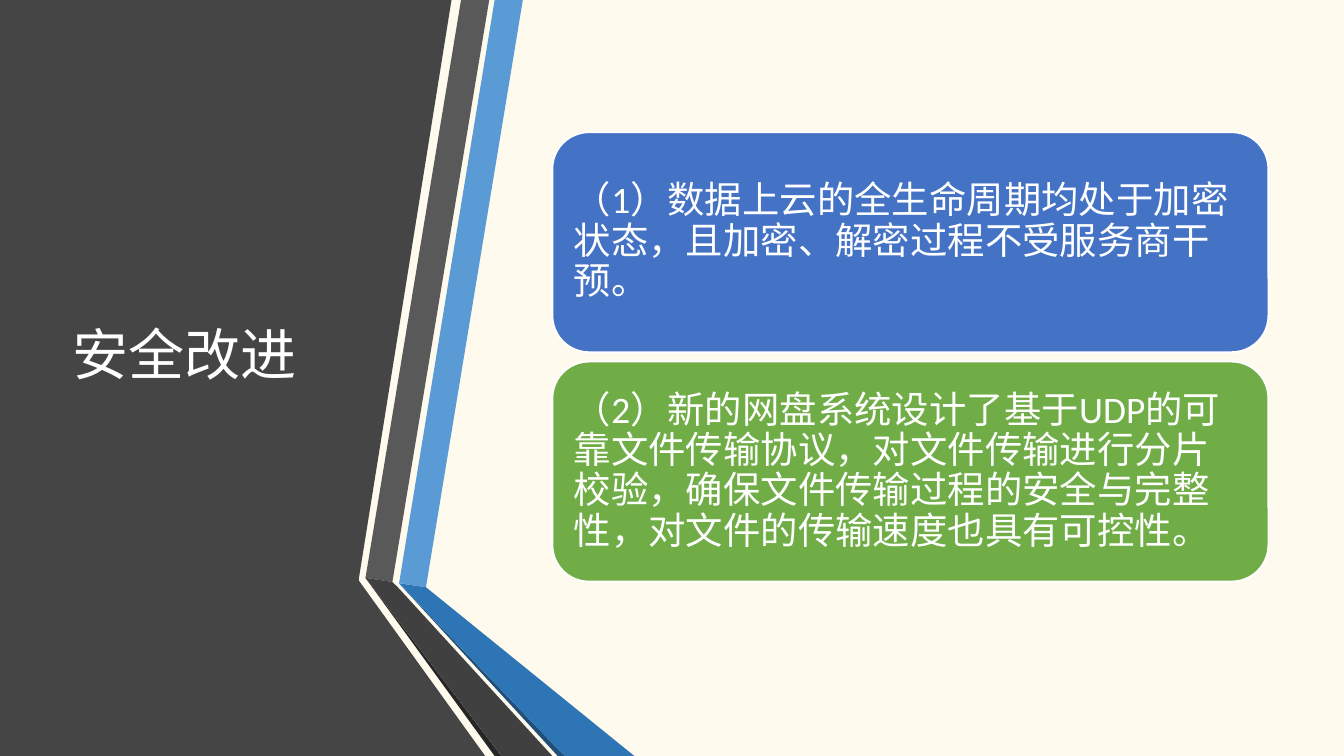
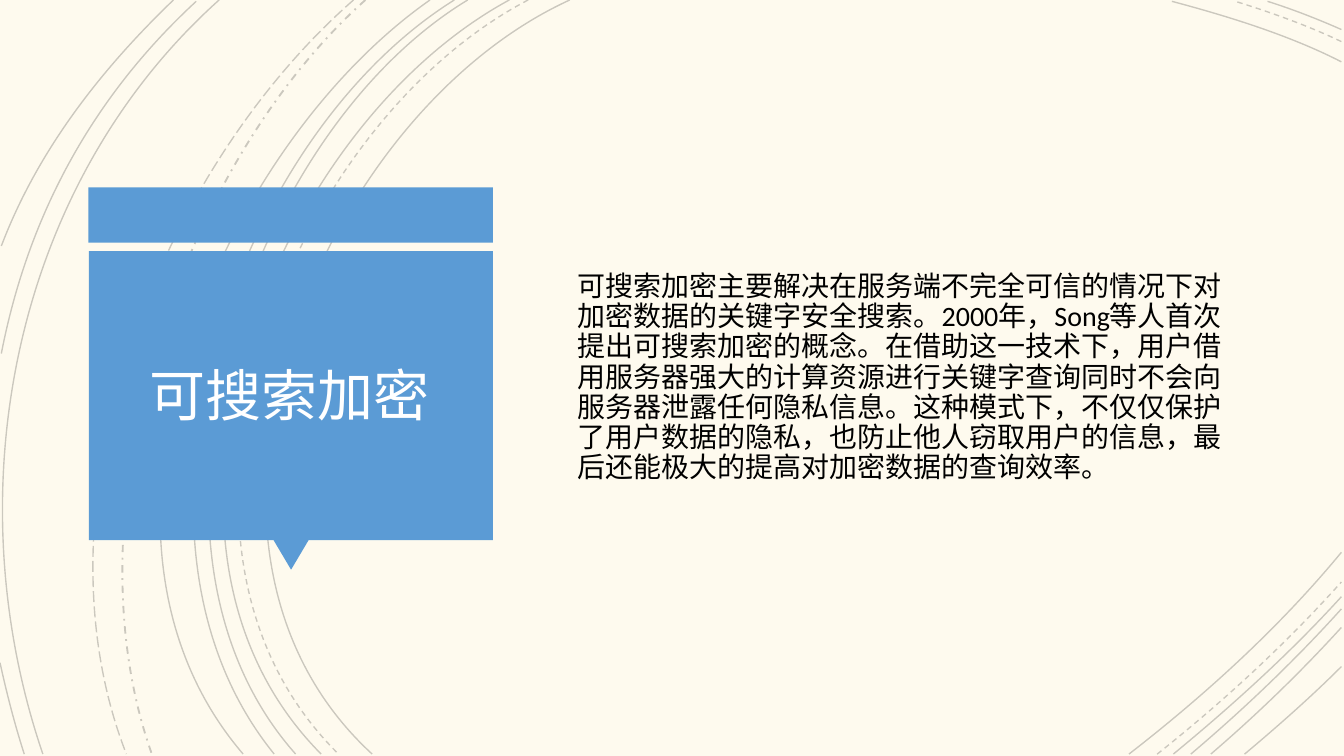
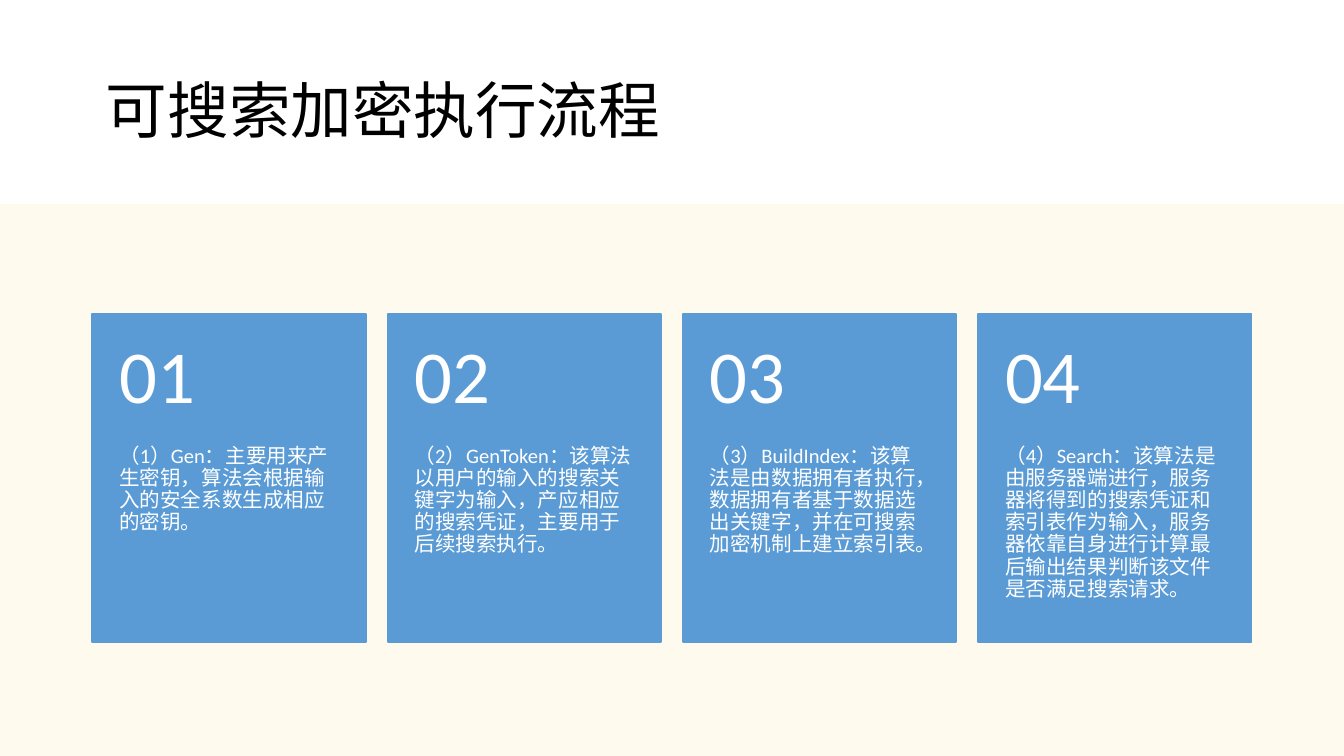
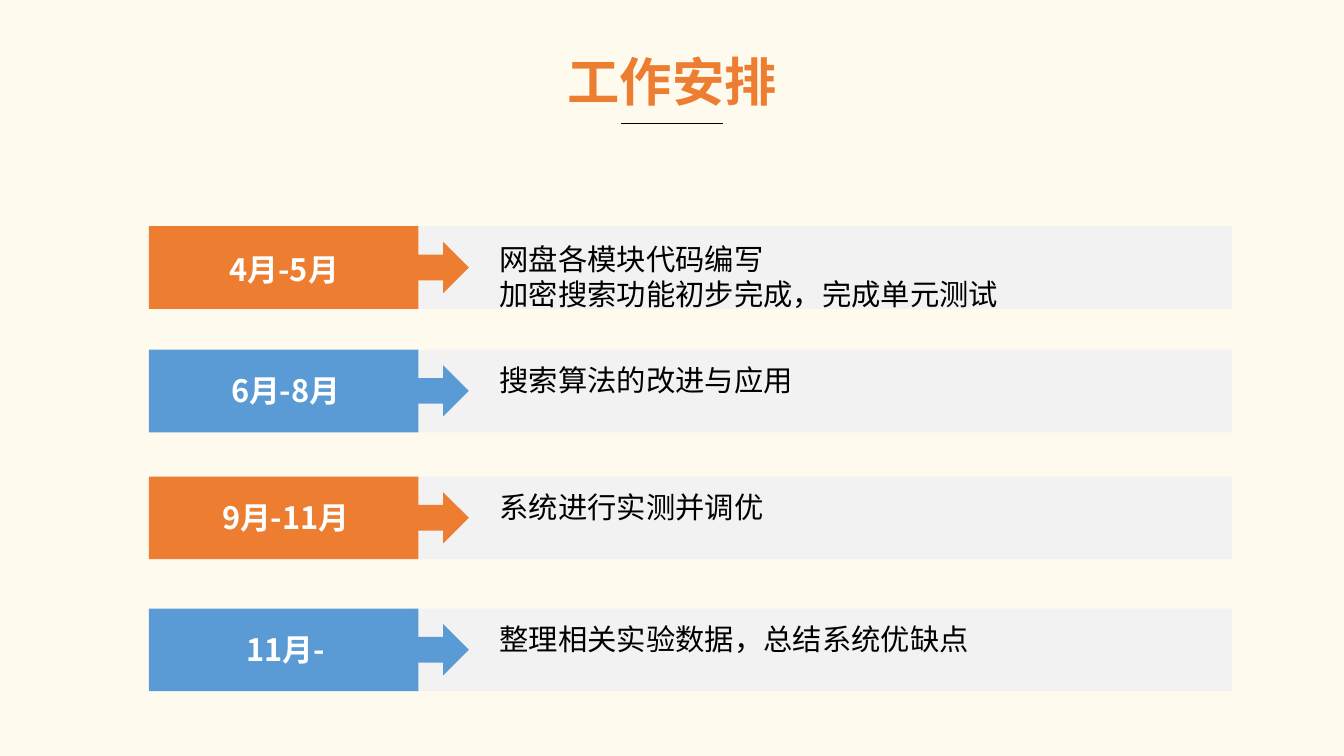
from dataclasses import dataclass, replace
from typing import NamedTuple

from pptx import Presentation
from pptx.dml.color import RGBColor
from pptx.enum.dml import MSO_LINE
from pptx.enum.shapes import MSO_CONNECTOR, MSO_SHAPE
from pptx.enum.text import MSO_ANCHOR, MSO_AUTO_SIZE, PP_ALIGN
from pptx.oxml.ns import qn
from pptx.oxml.xmlchemy import OxmlElement
from pptx.shapes.autoshape import Shape
from pptx.slide import Slide
from pptx.text.text import TextFrame
from pptx.util import Pt

COLORS = {
    "cream": "FEFAEE", "white": "FFFFFF", "black": "000000", "panel": "454545",
    "sky": "5B9BD5", "blue": "4472C4", "green": "70AD47", "orange": "ED7D31",
    "bar": "F2F2F2", "gray": "595959", "dark gray": "404040", "shade gray": "262626",
    "deep blue": "2E75B6", "shade blue": "1F4E79",
}
SLIDE_WIDTH, SLIDE_HEIGHT = 720, 405
TITLE_ONLY = 5
ARC_OPACITY = 20

Point = tuple[float, float]


class Box(NamedTuple):
    left: float
    top: float
    width: float
    height: float


@dataclass(frozen=True)
class TextStyle:
    size: float
    color: str = "white"
    font: str = "Calibri"
    bold: bool = False
    align: PP_ALIGN = PP_ALIGN.LEFT
    anchor: MSO_ANCHOR = MSO_ANCHOR.MIDDLE
    insets: Box = Box(7.2, 3.6, 7.2, 3.6)
    spacing: float = 0.9
    wrap: bool = True
    fit: MSO_AUTO_SIZE = MSO_AUTO_SIZE.NONE


class Polygon(NamedTuple):
    color: str
    points: list[Point]


class Arc(NamedTuple):
    """A cubic curve: start, two control points, end."""
    start: Point
    first_control: Point
    second_control: Point
    end: Point
    dash: MSO_LINE = MSO_LINE.SOLID
    weight: float = 0.75


class Stage(NamedTuple):
    top: float
    color: str
    months: str
    months_left: float
    months_top: float
    tasks: str
    tasks_top: float


SIDE_TITLE = TextStyle(30)
CALLOUT_TITLE = replace(SIDE_TITLE, align=PP_ALIGN.CENTER)
BAND_TITLE = TextStyle(33, "black")
POINT_TEXT = TextStyle(20, insets=Box(5.76, 5.76, 5.76, 5.76))
BODY_TEXT = TextStyle(15, "black")
STEP_TEXT = TextStyle(11, anchor=MSO_ANCHOR.TOP, insets=Box(14.4, 0, 14.4, 26))
STEP_NUMBER = TextStyle(40, insets=Box(14.4, 13, 14.4, 13))
PLAN_TEXT = TextStyle(15.7, "black", "Arial", anchor=MSO_ANCHOR.TOP, spacing=1,
                      fit=MSO_AUTO_SIZE.SHAPE_TO_FIT_TEXT)
PLAN_TITLE = replace(PLAN_TEXT, size=28, color="orange", font="Calibri", bold=True,
                     align=PP_ALIGN.CENTER, wrap=False)
MONTHS = replace(PLAN_TEXT, size=16.5, color="white", font="Noto Sans CJK SC", bold=True,
                 align=PP_ALIGN.CENTER)

RIBBONS = [
    Polygon("panel", [(190.1, 0), (241.9, 0), (192.2, 310.3), (192.2, 311), (259.9, 405),
                      (192.2, 405), (171.4, 405), (0, 405), (0, 0)]),
    Polygon("sky", [(213.8, 312.5), (228.2, 314.6), (280.1, 0), (265, 0)]),
    Polygon("gray", [(262.1, 0), (247, 0), (195.8, 309.6), (210.2, 311.8)]),
    Polygon("shade gray", [(195.8, 309.6), (265, 405), (268.6, 405)]),
    Polygon("shade blue", [(213.8, 312.5), (298.8, 405), (302.4, 405)]),
    Polygon("deep blue", [(213.8, 312.5), (302.4, 405), (339.8, 405), (228.2, 314.6)]),
    Polygon("dark gray", [(295.9, 405), (213.1, 314.6), (210.2, 311.8), (195.8, 309.6),
                          (268.6, 405)]),
]
ARCS = [
    Arc((305.3, 0), (169.9, 61.9), (77, 291.6), (199.4, 404)),
    Arc((718.6, 33.1), (690.5, 18.7), (657.4, 8.6), (627.8, 0.7)),
    Arc((604.8, 404), (645.8, 372.2), (685.4, 336.2), (718.6, 295.9)),
    Arc((283, 0), (153.4, 67.7), (66.2, 290.2), (181.4, 404), MSO_LINE.DASH),
    Arc((718.6, 22.3), (700.6, 13.7), (680.4, 6.5), (661.7, 0.7), MSO_LINE.DASH),
    Arc((619.9, 404), (654.5, 376.6), (688.3, 345.6), (718.6, 311.8), MSO_LINE.DASH),
    Arc((272.9, 0), (145.4, 69.1), (59, 290.2), (172.1, 404)),
    Arc((718.6, 15.8), (705.6, 10.1), (692.6, 5), (679, 0.7)),
    Arc((628.6, 404), (660.2, 378), (691.2, 349.9), (718.6, 319.7)),
    Arc((250.6, 0), (131.8, 72), (59, 292.3), (158.4, 404)),
    Arc((637.9, 404), (666, 380.2), (693.4, 354.2), (718.6, 326.2)),
    Arc((243.4, 0), (124.6, 74.2), (52.6, 288), (146.9, 404)),
    Arc((648.7, 404), (673.2, 383), (697, 360), (718.6, 336.2)),
    Arc((230.4, 0), (117.4, 79.2), (28.8, 285.8), (130.3, 404)),
    Arc((666.7, 404), (684, 389.5), (702, 373.7), (718.6, 357.1)),
    Arc((195.8, 0), (95, 90), (35.3, 275), (81.4, 404), MSO_LINE.DASH_DOT, 1),
    Arc((189.4, 0), (85, 91.4), (15.1, 269.3), (67.7, 404), MSO_LINE.LONG_DASH),
    Arc((117.4, 0), (5.8, 100.1), (-24.5, 265), (23, 404)),
    Arc((105.1, 0.7), (49.7, 51.8), (15.1, 115.2), (0.7, 189.4)),
    Arc((0, 355), (3.6, 371.5), (7.9, 388.1), (13, 404)),
    Arc((92.9, 0), (54, 37.4), (20.2, 80.6), (0.7, 131.8)),
]
IMPROVEMENTS = [
    ("blue", "（1）数据上云的全生命周期均处于加密状态，且加密、解密过程不受服务商干预。"),
    ("green", "（2）新的网盘系统设计了基于UDP的可靠文件传输协议，对文件传输进行分片校验，"
              "确保文件传输过程的安全与完整性，对文件的传输速度也具有可控性。"),
]
SEARCHABLE_ENCRYPTION = (
    "可搜索加密主要解决在服务端不完全可信的情况下对加密数据的关键字安全搜索。2000年，"
    "Song等人首次提出可搜索加密的概念。在借助这一技术下，用户借用服务器强大的计算资源"
    "进行关键字查询同时不会向服务器泄露任何隐私信息。这种模式下，不仅仅保护了用户数据的"
    "隐私，也防止他人窃取用户的信息，最后还能极大的提高对加密数据的查询效率。"
)
STEPS = [
    "（1）Gen：主要用来产生密钥，算法会根据输入的安全系数生成相应的密钥。",
    "（2）GenToken：该算法以用户的输入的搜索关键字为输入，产应相应的搜索凭证，"
    "主要用于后续搜索执行。",
    "（3）BuildIndex：该算法是由数据拥有者执行，数据拥有者基于数据选出关键字，"
    "并在可搜索加密机制上建立索引表。",
    "（4）Search：该算法是由服务器端进行，服务器将得到的搜索凭证和索引表作为输入，"
    "服务器依靠自身进行计算最后输出结果判断该文件是否满足搜索请求。",
]
STAGES = [
    Stage(121.2, "orange", "4月-5月", 103, 131,
          "网盘各模块代码编写\n加密搜索功能初步完成，完成单元测试", 125.4),
    Stage(187.3, "sky", "6月-8月", 103.7, 195.8, "搜索算法的改进与应用", 190.6),
    Stage(255.3, "orange", "9月-11月", 103.7, 263.7, "系统进行实测并调优", 258.5),
    Stage(326, "sky", "11月-", 103.7, 334.6, "整理相关实验数据，总结系统优缺点", 329.2),
]


def rgb(name: str) -> RGBColor:
    return RGBColor.from_string(COLORS[name])


def points(box: Box) -> list[Pt]:
    return [Pt(length) for length in box]


def write(frame: TextFrame, text: str, style: TextStyle) -> None:
    frame.text = text
    frame.word_wrap = style.wrap
    frame.auto_size = style.fit
    frame.vertical_anchor = style.anchor
    (frame.margin_left, frame.margin_top,
     frame.margin_right, frame.margin_bottom) = points(style.insets)
    for paragraph in frame.paragraphs:
        paragraph.alignment = style.align
        paragraph.line_spacing = style.spacing
        paragraph.font.size = Pt(style.size)
        paragraph.font.name = style.font
        paragraph.font.bold = style.bold
        paragraph.font.color.rgb = rgb(style.color)


def set_title(page: Slide, text: str, box: Box, style: TextStyle) -> None:
    """Place the title in front of everything drawn so far."""
    title = page.shapes.title
    title.left, title.top, title.width, title.height = points(box)
    write(title.text_frame, text, style)
    page.shapes.element.append(title.element)


def add_text(page: Slide, text: str, box: Box, style: TextStyle) -> None:
    write(page.shapes.add_textbox(*points(box)).text_frame, text, style)


def paint(shape: Shape, fill: str, line: str | None = None) -> None:
    shape.shadow.inherit = False
    shape.fill.solid()
    shape.fill.fore_color.rgb = rgb(fill)
    if line:
        shape.line.color.rgb = rgb(line)
        shape.line.width = Pt(1)
    else:
        shape.line.fill.background()


def add_block(page: Slide, box: Box, fill: str, line: str | None = None,
              kind: MSO_SHAPE = MSO_SHAPE.RECTANGLE) -> Shape:
    shape = page.shapes.add_shape(kind, *points(box))
    paint(shape, fill, line)
    return shape


def add_outline(page: Slide, corners: list[Point], close: bool) -> Shape:
    start, *rest = [(Pt(x), Pt(y)) for x, y in corners]
    builder = page.shapes.build_freeform(*start)
    builder.add_line_segments(rest, close=close)
    return builder.convert_to_shape()


def bend(shape: Shape) -> None:
    """Turn the three segments of an open outline into one cubic curve."""
    segments = list(shape.element.iter(qn("a:lnTo")))
    curve = OxmlElement("a:cubicBezTo")
    segments[0].addprevious(curve)
    for segment in segments:
        curve.append(segment[0])
        segment.getparent().remove(segment)


def add_arc(page: Slide, arc: Arc) -> None:
    shape = add_outline(page, list(arc[:4]), close=False)
    bend(shape)
    shape.shadow.inherit = False
    shape.fill.background()
    shape.line.color.rgb = rgb("black")
    shape.line.width = Pt(arc.weight)
    shape.line.dash_style = arc.dash
    for color in shape.element.iter(qn("a:srgbClr")):
        alpha = OxmlElement("a:alpha")
        alpha.set("val", str(ARC_OPACITY * 1000))
        color.append(alpha)


def draw_improvements(page: Slide) -> None:
    for ribbon in RIBBONS:
        paint(add_outline(page, ribbon.points, close=True), ribbon.color)
    set_title(page, "安全改进", Box(31.7, 40.7, 164.2, 301.7), SIDE_TITLE)
    for row, (color, text) in enumerate(IMPROVEMENTS):
        top = 70.8 + row * 122.9
        add_block(page, Box(295.9, top, 383.6, 117.9), color, "white",
                  MSO_SHAPE.ROUNDED_RECTANGLE)
        add_text(page, text, Box(301.7, top + 5.75, 371, 106.4), POINT_TEXT)


def draw_searchable_encryption(page: Slide) -> None:
    for arc in ARCS:
        add_arc(page, arc)
    add_block(page, Box(47.3, 100.4, 216.7, 29.6), "sky")
    pointer = add_block(page, Box(146.6, 289.4, 18.7, 15.8), "sky",
                        kind=MSO_SHAPE.ISOSCELES_TRIANGLE)
    pointer.rotation = 180
    add_block(page, Box(47.6, 134.5, 216.5, 154.9), "sky")
    set_title(page, "可搜索加密", Box(53.3, 142.6, 203.8, 141.8), CALLOUT_TITLE)
    add_text(page, SEARCHABLE_ENCRYPTION, Box(302.4, 47.8, 370.8, 309.6), BODY_TEXT)


def draw_steps(page: Slide) -> None:
    add_block(page, Box(0, 0, SLIDE_WIDTH, 109.4), "white")
    band = Box(49.5, 21.6, 621, 78.5)
    set_title(page, "可搜索加密执行流程", band, BAND_TITLE)
    card_width, number_height = 146.4, 70.3
    pitch = (band.width - card_width) / (len(STEPS) - 1)
    for index, text in enumerate(STEPS):
        card = Box(band.left + index * pitch, 168.2, card_width, 175.7)
        add_block(page, card, "sky", "sky")
        body = card._replace(top=card.top + number_height + 0.2,
                             height=card.height - number_height)
        add_text(page, text, body, STEP_TEXT)
        add_text(page, f"{index + 1:02}", card._replace(height=number_height), STEP_NUMBER)


def draw_plan(page: Slide) -> None:
    set_title(page, "工作安排", Box(295.9, 22.8, 128.2, 41), PLAN_TITLE)
    rule = page.shapes.add_connector(MSO_CONNECTOR.STRAIGHT,
                                     Pt(332.6), Pt(66.2), Pt(387.4), Pt(66.2))
    rule.line.color.rgb = rgb("black")
    rule.line.width = Pt(0.5)
    rule.element.spPr.append(OxmlElement("a:effectLst"))
    for stage in STAGES:
        add_block(page, Box(221.8, stage.top, 438.2, 44.3), "bar")
        add_block(page, Box(217.4, stage.top + 8.4, 33.8, 27.4), stage.color,
                  kind=MSO_SHAPE.RIGHT_ARROW)
        add_block(page, Box(79.8, stage.top, 144.3, 44.3), stage.color)
    for stage in STAGES:
        add_text(page, stage.months, Box(stage.months_left, stage.months_top, 98.6, 27.4),
                 MONTHS)
        line_count = stage.tasks.count("\n") + 1
        add_text(page, stage.tasks,
                 Box(260.6, stage.tasks_top, 378, 7.7 + 18.9 * line_count), PLAN_TEXT)


def main() -> None:
    deck = Presentation()
    deck.slide_width, deck.slide_height = Pt(SLIDE_WIDTH), Pt(SLIDE_HEIGHT)
    backdrop = deck.slide_master.background.fill
    backdrop.solid()
    backdrop.fore_color.rgb = rgb("cream")
    for draw in (draw_improvements, draw_searchable_encryption, draw_steps, draw_plan):
        draw(deck.slides.add_slide(deck.slide_layouts[TITLE_ONLY]))
    deck.save("out.pptx")


if __name__ == "__main__":
    main()
